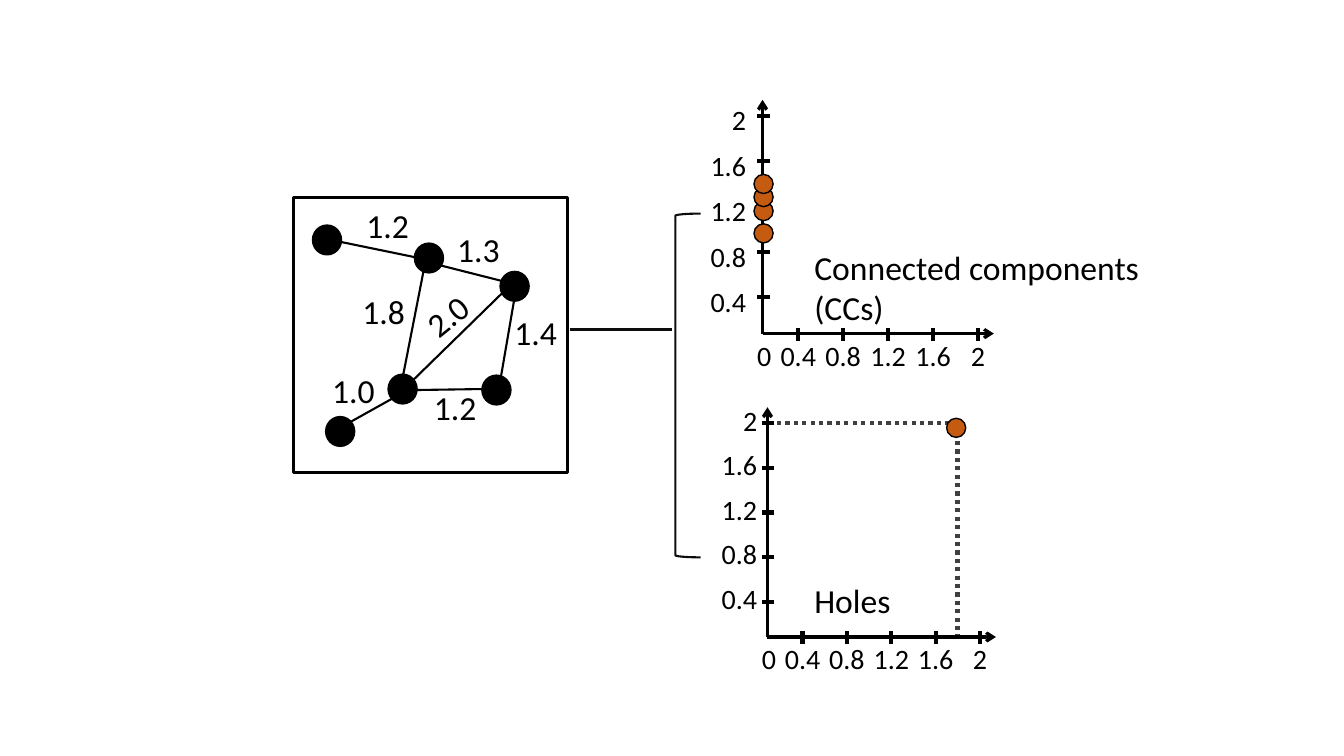
from lxml import etree
from pptx import Presentation, util as u
from pptx.dml.color import RGBColor
from pptx.enum import dml, shapes, text
from pptx.oxml.ns import qn

BLACK = RGBColor(0, 0, 0)
INK = RGBColor(0x0D, 0x0D, 0x0D)
GRAY = RGBColor(0x40, 0x40, 0x40)
RUST = RGBColor(0xC5, 0x5A, 0x11)
LEFT, MID, RIGHT = text.PP_ALIGN.LEFT, text.PP_ALIGN.CENTER, text.PP_ALIGN.RIGHT
FORM = shapes.MSO_SHAPE
LINK = shapes.MSO_CONNECTOR
MARKS = ["0.4", "0.8", "1.2", "1.6", "2"]


class Sketch:
    font = "Calibri"

    def __init__(self, slide):
        self.slide = slide

    def line(self, start, end, width=1.5, color=BLACK, kind=LINK.STRAIGHT, arrow=False, dots=False):
        ends = [u.Pt(v) for v in (*start, *end)]
        item = self.slide.shapes.add_connector(kind, *ends)
        item.line.width = u.Pt(width)
        item.line.color.rgb = color
        if dots:
            item.line.dash_style = dml.MSO_LINE.ROUND_DOT
        props = item._element.spPr
        if arrow:
            etree.SubElement(props.find(qn("a:ln")), qn("a:tailEnd"), type="arrow")
        etree.SubElement(props, qn("a:effectLst"))

    def shape(self, form, left, top, wide, high, width, fill=None, color=BLACK):
        box = [u.Pt(v) for v in (left, top, wide, high)]
        item = self.slide.shapes.add_shape(form, *box)
        item.shadow.inherit = False
        if fill is None:
            item.fill.background()
        else:
            item.fill.solid()
            item.fill.fore_color.rgb = fill
        item.line.width = u.Pt(width)
        item.line.color.rgb = color

    def dot(self, x, y, wide, high, fill, width):
        self.shape(FORM.OVAL, x - wide / 2, y - high / 2, wide, high, width, fill)

    def label(self, words, left, top, wide, high, size=24, align=MID, turn=0):
        box = [u.Pt(v) for v in (left, top, wide, high)]
        item = self.slide.shapes.add_textbox(*box)
        item.rotation = turn
        frame = item.text_frame
        frame.word_wrap = False
        frame.auto_size = text.MSO_AUTO_SIZE.SHAPE_TO_FIT_TEXT
        frame.text = words
        for para in frame.paragraphs:
            para.alignment = align
            para.font.name = self.font
            para.font.size = u.Pt(size)
            para.font.color.rgb = BLACK

    def plot(self, x, y, right, top, first, step, edge, shift):
        self.line((x, y), (right, y), 2.25, arrow=True)
        self.line((x, y), (x, top), 2.25, arrow=True)
        self.label("0", x - 11, y, 24.5, 31.5, 20, LEFT)
        for i, mark in enumerate(MARKS):
            wide = 24.5 if mark == "2" else 40.3
            across = first[0] + i * step[0]
            up = first[1] - i * step[1]
            self.line((across, y + 5), (across, y - 4), 3)
            self.label(mark, across - wide / 2, y, wide, 31.5, 20)
            self.line((x + 5, up), (x - 4, up), 3)
            self.label(mark, edge - wide, up - shift, wide, 31.5, 20, RIGHT)


def main():
    deck = Presentation()
    deck.slide_width, deck.slide_height = u.Pt(960), u.Pt(540)
    art = Sketch(deck.slides.add_slide(deck.slide_layouts[6]))

    edges = [
        ((359.3, 200.9), (313.9, 189.4)),
        ((249.8, 301.7), (280.8, 284.4)),
        ((297.4, 278.6), (344.9, 277.9)),
        ((357.8, 269.3), (367.2, 214.6)),
        ((295.9, 183.6), (243.4, 172.8)),
        ((288, 267.8), (303.1, 190.8)),
        ((295.2, 271.4), (359.3, 208.8)),
    ]
    for start, end in edges:
        art.line(start, end)
    nodes = [(287.6, 277.9), (354.6, 278.6), (367.6, 204.5),
             (306.4, 184.3), (233.6, 171.4), (243, 308.2)]
    for x, y in nodes:
        art.dot(x, y, 19.5, 20, BLACK, 2.25)
    weights = [
        ("1.0", 229.7, 260.6, 0), ("1.2", 302.4, 272.9, 0),
        ("1.2", 254.2, 142.6, 0), ("1.3", 319, 159.8, 0),
        ("1.4", 360, 219.6, 0), ("1.8", 251.3, 204.5, 0),
        ("2.0", 296.6, 207.4, 321.1),
    ]
    for words, left, top, turn in weights:
        art.label(words, left, top, 45.4, 36, turn=turn)
    art.shape(FORM.RECTANGLE, 209.5, 141.1, 195.8, 196.6, 2.25)

    art.line((684, 309), (684, 453.6), 3, GRAY, dots=True)
    art.line((678.2, 302.4), (553, 302.4), 3, GRAY, dots=True)
    art.plot(548.2, 455, 711.4, 290.9, (573.3, 429.8), (31.7, 31.85), 548, 18)
    art.dot(683, 305.6, 13.7, 13.7, RUST, 1)

    art.plot(544.7, 238.3, 709.9, 71.3, (570.2, 212.4), (32.1, 32.4), 540, 12.8)
    for y in (166.7, 150.8, 140.8, 131.4):
        art.dot(545.4, y, 13.7, 13.7, RUST, 1)

    art.shape(FORM.LEFT_BRACKET, 482.4, 152.6, 18, 245.5, 1.5, color=INK)
    art.line((406.8, 235.4), (480.2, 235.4), color=INK, kind=LINK.ELBOW)
    art.label("Connected components\n(CCs)", 574.6, 172.8, 249, 65.5, align=LEFT)
    art.label("Holes", 574.6, 410.4, 69.8, 36, align=LEFT)
    deck.save("out.pptx")


if __name__ == "__main__":
    main()
